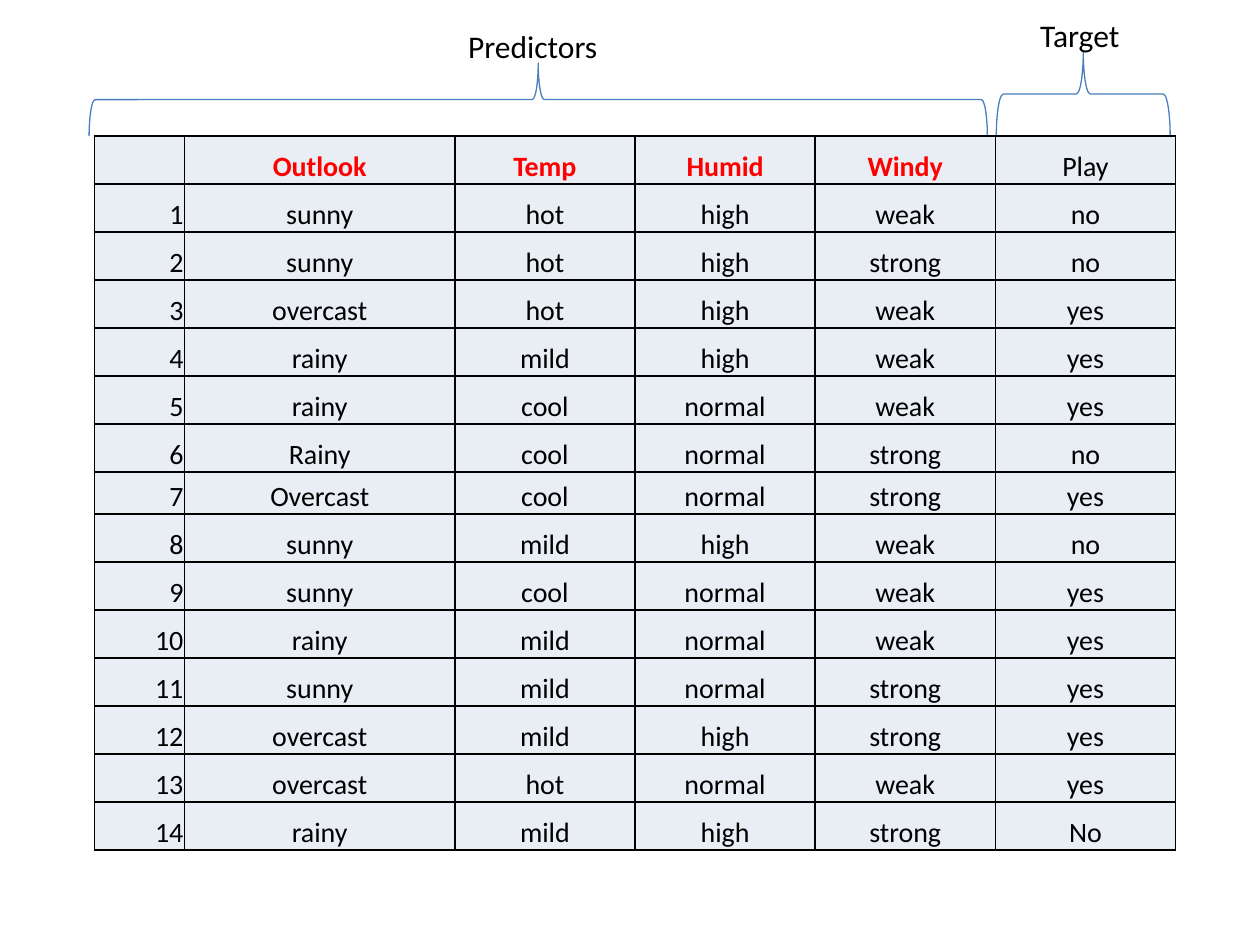
from lxml import etree
from pptx import Presentation
from pptx.dml.color import RGBColor
from pptx.enum.shapes import MSO_SHAPE
from pptx.enum.text import MSO_ANCHOR, MSO_AUTO_SIZE, PP_ALIGN
from pptx.oxml.ns import qn
from pptx.util import Inches, Pt

BRACE = MSO_SHAPE.LEFT_BRACE
BOTTOM = MSO_ANCHOR.BOTTOM
GROW = MSO_AUTO_SIZE.SHAPE_TO_FIT_TEXT
CENTER, RIGHT = PP_ALIGN.CENTER, PP_ALIGN.RIGHT

BLACK = RGBColor(0x00, 0x00, 0x00)
RED = RGBColor(0xFF, 0x00, 0x00)
BLUE = RGBColor(0x4B, 0x7E, 0xBC)
PALE = RGBColor(0xE9, 0xED, 0xF4)

LEFT, TOP = Inches(0.75), Inches(1.08)
WIDTH, HEIGHT = Inches(8.58), Inches(5.67)
SHORT = Inches(0.33)
SPANS = (1, 3, 2, 2, 2, 2)
COL = WIDTH // sum(SPANS)
ROW = (HEIGHT - SHORT) // 14

HEAD = ("", "Outlook", "Temp", "Humid", "Windy", "Play")
DAYS = """sunny hot high weak no
sunny hot high strong no
overcast hot high weak yes
rainy mild high weak yes
rainy cool normal weak yes
Rainy cool normal strong no
Overcast cool normal strong yes
sunny mild high weak no
sunny cool normal weak yes
rainy mild normal weak yes
sunny mild normal strong yes
overcast mild high strong yes
overcast hot normal weak yes
rainy mild high strong No"""

INSETS = {"margin_left": Inches(0.01), "margin_right": Inches(0.01),
          "margin_top": Inches(0.01), "margin_bottom": 0,
          "vertical_anchor": BOTTOM}


def apply(target, values):
    """Set each named attribute on the target."""
    for name, value in values.items():
        setattr(target, name, value)


def style(font, size, color=BLACK, bold=False):
    """Give a font its face, size, weight and colour."""
    apply(font, {"name": "Calibri", "size": Pt(size), "bold": bold})
    font.color.rgb = color


def across(col):
    """Return the slide position of a grid column."""
    return LEFT + round(col * COL)


def above(rows):
    """Return the position a number of rows above the table."""
    return TOP - round(rows * ROW)


def add_brace(slide, start, end, depth):
    """Draw an upward brace over a span of grid columns."""
    span, tall = round((end - start) * COL), round(depth * ROW)
    x = across(start) + (span - tall) // 2
    y = above(depth) + (tall - span) // 2
    brace = slide.shapes.add_shape(BRACE, x, y, tall, span)
    brace.rotation = 90
    brace.shadow.inherit = False
    brace.fill.background()
    brace.line.color.rgb = BLUE
    brace.line.width = Pt(0.75)


def add_label(slide, text, col, rows, span):
    """Write a label above the table."""
    box = slide.shapes.add_textbox(across(col), above(rows),
                                   round(span * COL), Inches(0.4))
    apply(box.text_frame, {"text": text, "word_wrap": False,
                           "auto_size": GROW})
    style(box.text_frame.paragraphs[0].font, 18)


def add_edges(cell):
    """Put a thin black line on every side of a cell."""
    props = cell._tc.get_or_add_tcPr()
    for spot, side in enumerate(("lnL", "lnR", "lnT", "lnB")):
        line = etree.Element(qn(f"a:{side}"), w=str(Pt(1)))
        fill = etree.SubElement(line, qn("a:solidFill"))
        etree.SubElement(fill, qn("a:srgbClr"), val=str(BLACK))
        props.insert(spot, line)


def fill_cell(cell, text, align, color, bold):
    """Write and format one table cell."""
    apply(cell, {"text": text, **INSETS})
    cell.fill.solid()
    cell.fill.fore_color.rgb = PALE
    para = cell.text_frame.paragraphs[0]
    para.alignment = align
    style(para.font, 16, color, bold)
    add_edges(cell)


def add_grid(slide):
    """Build the table of days."""
    days = [(str(n), *line.split())
            for n, line in enumerate(DAYS.splitlines(), 1)]
    data = [HEAD, *days]
    table = slide.shapes.add_table(len(data), len(HEAD), LEFT, TOP,
                                   WIDTH, HEIGHT).table
    for col, span in zip(table.columns, SPANS):
        col.width = span * COL
    for r, words in enumerate(data):
        table.rows[r].height = SHORT if r == 7 else ROW
        for c, word in enumerate(words):
            key = r == 0 and c < 5
            fill_cell(table.cell(r, c), word, CENTER if c else RIGHT,
                      RED if key else BLACK, key)


def main():
    """Build and save the slide."""
    deck = Presentation()
    deck.slide_width, deck.slide_height = Inches(10), Inches(7.5)
    slide = deck.slides.add_slide(deck.slide_layouts[6])
    add_brace(slide, -0.06, 9.91, 1.52)
    add_brace(slide, 10.01, 11.94, 1.75)
    add_label(slide, "Predictors", 4.01, 2.39, 1.8)
    add_label(slide, "Target", 10.36, 2.62, 1.17)
    add_grid(slide)
    deck.save("out.pptx")


if __name__ == "__main__":
    main()
